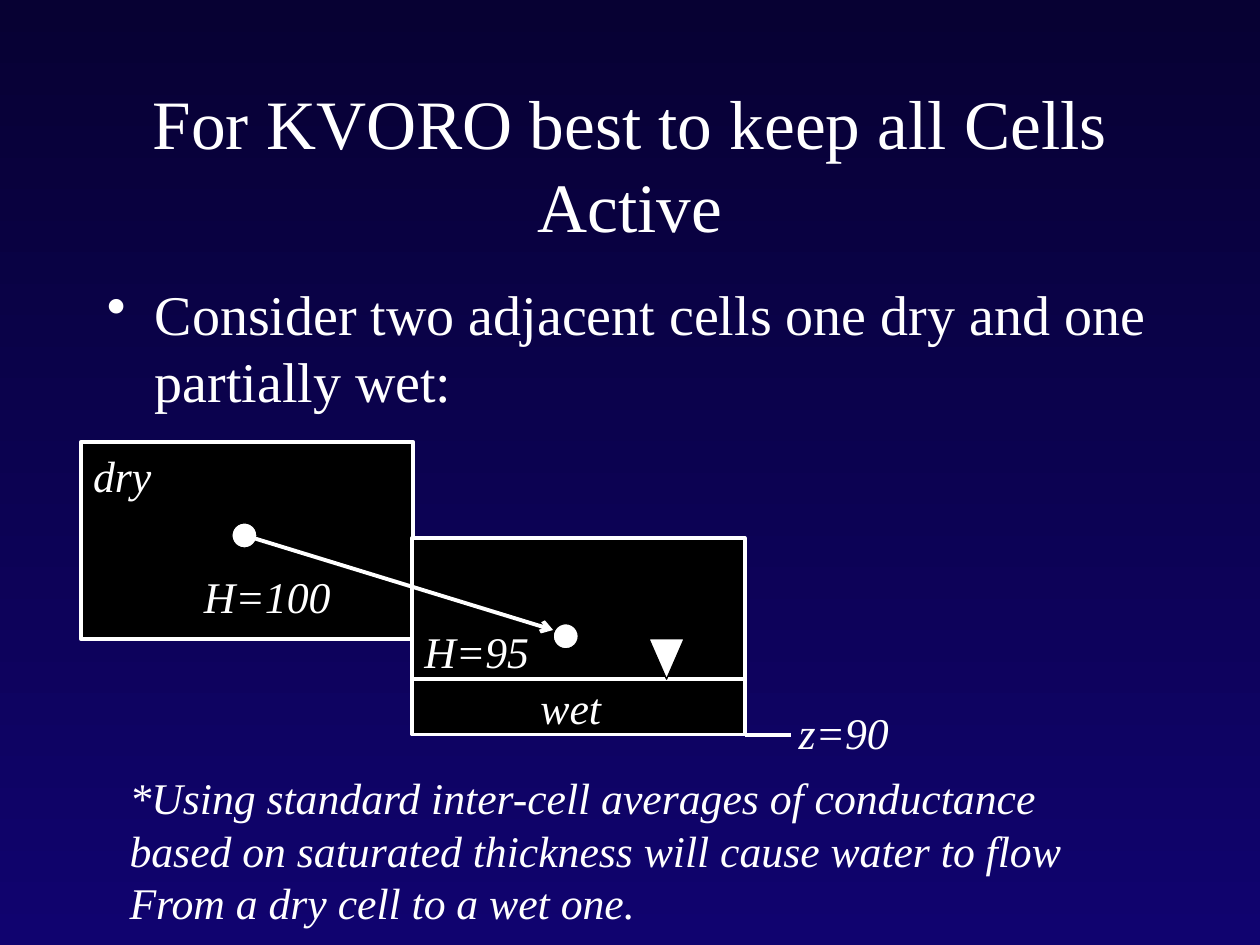
from lxml import etree
from pptx import Presentation
from pptx.dml.color import RGBColor
from pptx.enum.shapes import MSO_CONNECTOR, MSO_SHAPE
from pptx.enum.text import MSO_ANCHOR, MSO_AUTO_SIZE, PP_ALIGN
from pptx.oxml.ns import qn
from pptx.util import Inches, Pt

RECTANGLE, OVAL, TRIANGLE = MSO_SHAPE.RECTANGLE, MSO_SHAPE.OVAL, MSO_SHAPE.ISOSCELES_TRIANGLE
STRAIGHT = MSO_CONNECTOR.STRAIGHT
LEFT, CENTER = PP_ALIGN.LEFT, PP_ALIGN.CENTER
TOP, MIDDLE = MSO_ANCHOR.TOP, MSO_ANCHOR.MIDDLE
FIT_SHAPE = MSO_AUTO_SIZE.SHAPE_TO_FIT_TEXT

CELL_WIDTH, CELL_HEIGHT = 2.64, 1.56
DRY_LEFT, DRY_TOP = 0.64, 3.51
WET_LEFT, WET_TOP = 3.27, 4.27
WET_RIGHT, WET_BOTTOM = WET_LEFT + CELL_WIDTH, WET_TOP + CELL_HEIGHT
WATER_LEVEL = 5.39
NODE_SIZE = 0.2
LABEL_HEIGHT = 0.52


def color(value):
    return RGBColor.from_string(value)


class CellSlide:
    """Draws white text and outlined cells on one dark slide."""

    font_name = "Times New Roman"
    white, black = "FFFFFF", "000000"
    label_size = 25

    def __init__(self, presentation):
        self.slide = presentation.slides.add_slide(presentation.slide_layouts[6])

    def background(self, top_color, bottom_color):
        fill = self.slide.background.fill
        fill.gradient()
        fill.gradient_angle = 270
        for stop, value, position in zip(fill.gradient_stops, (top_color, bottom_color), (0, 1)):
            stop.color.rgb = color(value)
            stop.position = position

    def style(self, paragraph, size, italic=False, align=LEFT):
        paragraph.alignment = align
        font = paragraph.font
        font.name, font.size, font.italic = self.font_name, Pt(size), italic
        font.color.rgb = color(self.white)

    def text(self, content, left, top, width, height, size, align=LEFT, anchor=TOP, bullet=False):
        shape = self.slide.shapes.add_textbox(*map(Inches, (left, top, width, height)))
        frame = shape.text_frame
        frame.word_wrap = True
        frame.vertical_anchor = anchor
        frame.text = content
        paragraph = frame.paragraphs[0]
        if bullet:
            properties = paragraph._p.get_or_add_pPr()
            properties.set("marL", str(Inches(0.38)))
            properties.set("indent", str(Inches(-0.38)))
            etree.SubElement(properties, qn("a:buChar"), char="•")
        self.style(paragraph, size, align=align)

    def label(self, content, left, top, width, height=LABEL_HEIGHT):
        shape = self.slide.shapes.add_textbox(*map(Inches, (left, top, width, height)))
        frame = shape.text_frame
        frame.word_wrap = False
        frame.auto_size = FIT_SHAPE
        frame.text = content
        for paragraph in frame.paragraphs:
            self.style(paragraph, self.label_size, italic=True)

    def shape(self, kind, left, top, width, height, fill, line, line_width):
        shape = self.slide.shapes.add_shape(kind, *map(Inches, (left, top, width, height)))
        shape.shadow.inherit = False
        shape.fill.solid()
        shape.fill.fore_color.rgb = color(fill)
        shape.line.color.rgb = color(line)
        shape.line.width = Pt(line_width)
        return shape

    def cell(self, left, top, name=""):
        shape = self.shape(RECTANGLE, left, top, CELL_WIDTH, CELL_HEIGHT, self.black, self.white, 2.25)
        if name:
            frame = shape.text_frame
            frame.word_wrap = False
            frame.vertical_anchor = TOP
            frame.text = name
            self.style(frame.paragraphs[0], self.label_size, italic=True)

    def marker(self, kind, left, top, width=NODE_SIZE, height=NODE_SIZE, rotation=0):
        shape = self.shape(kind, left, top, width, height, self.white, self.black, 0.75)
        shape.rotation = rotation

    def line(self, start_x, start_y, end_x, end_y, arrow=False):
        connector = self.slide.shapes.add_connector(
            STRAIGHT, *map(Inches, (start_x, start_y, end_x, end_y)))
        connector.line.color.rgb = color(self.white)
        connector.line.width = Pt(2.25)
        if arrow:
            etree.SubElement(connector.line._get_or_add_ln(), qn("a:tailEnd"), type="arrow")
        etree.SubElement(connector._element.spPr, qn("a:effectLst"))


def main():
    presentation = Presentation()
    presentation.slide_width, presentation.slide_height = Inches(10), Inches(7.5)
    page = CellSlide(presentation)
    page.background("070133", "10036F")
    page.text("For KVORO best to keep all Cells Active", 0.75, 0.67, 8.5, 1.25, 39.6,
              align=CENTER, anchor=MIDDLE)
    page.text("Consider two adjacent cells one dry and one partially wet:",
              0.75, 2.17, 8.5, 4.5, 32, bullet=True)

    page.cell(DRY_LEFT, DRY_TOP, "dry")
    page.cell(WET_LEFT, WET_TOP)
    page.marker(OVAL, 1.84, 4.15)
    page.marker(OVAL, 4.39, 4.95)
    page.line(WET_LEFT, WATER_LEVEL, WET_RIGHT, WATER_LEVEL)
    page.marker(TRIANGLE, 5.15, WATER_LEVEL - 0.32, 0.28, 0.32, rotation=180)
    page.label("wet", 4.19, 5.35, 0.69)
    page.label("H=100", 1.52, 4.47, 1.22)
    page.label("H=95", WET_LEFT, 4.91, 1.04)
    page.line(2.01, 4.27, 4.39, 5, arrow=True)
    page.label("*Using standard inter-cell averages of conductance\n"
               "based on saturated thickness will cause water to flow\n"
               "From a dry cell to a wet one.", 0.93, 6.07, 7.69, 1.36)
    page.line(WET_RIGHT, WET_BOTTOM, 6.28, WET_BOTTOM)
    page.label("z=90", 6.24, 5.55, 0.93)
    presentation.save("out.pptx")


if __name__ == "__main__":
    main()
